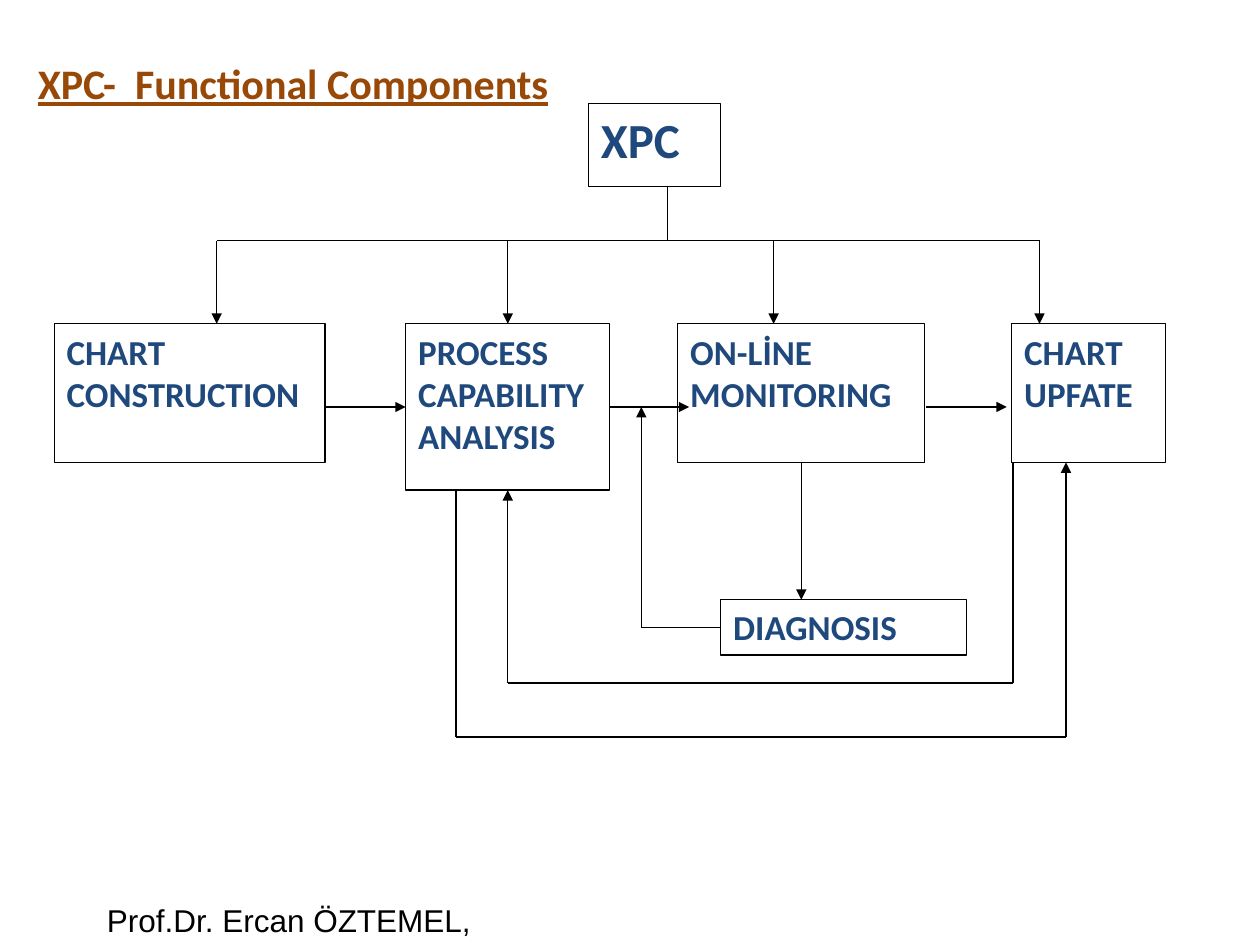
from dataclasses import dataclass
from itertools import pairwise

from lxml.etree import SubElement
from pptx import Presentation
from pptx.dml.color import RGBColor
from pptx.enum.shapes import MSO_CONNECTOR, MSO_SHAPE
from pptx.enum.text import MSO_ANCHOR, PP_ALIGN
from pptx.oxml.ns import qn
from pptx.util import Inches, Pt


@dataclass(frozen=True)
class Theme:
    ink: RGBColor = RGBColor(0x00, 0x00, 0x00)
    paper: RGBColor = RGBColor(0xFF, 0xFF, 0xFF)
    label: RGBColor = RGBColor(0x1F, 0x49, 0x7D)
    heading: RGBColor = RGBColor(0x98, 0x48, 0x07)
    body_font: str = "Calibri"
    footer_font: str = "Arial"
    title_size: int = 24
    root_size: int = 28
    label_size: int = 20
    footer_size: int = 18
    line_width: float = 0.75


@dataclass(frozen=True)
class Box:
    left: float
    top: float
    width: float
    height: float

    def inside(self, left, top, width, height):
        return Box(self.left + left, self.top + top, width, height)

    def place(self):
        return [Inches(v) for v in (self.left, self.top, self.width, self.height)]


THEME = Theme()
TOP, LEFT, BOTTOM, RIGHT = range(4)


def write_text(frame, text, size, color, font=THEME.body_font,
               bold=False, underline=False, wrap=True):
    frame.word_wrap = wrap
    frame.vertical_anchor = MSO_ANCHOR.TOP
    for index, line in enumerate(text.split("\n")):
        para = frame.paragraphs[0] if index == 0 else frame.add_paragraph()
        para.alignment = PP_ALIGN.LEFT
        span = para.add_run()
        span.text = line
        span.font.size = Pt(size)
        span.font.name = font
        span.font.bold = bold
        span.font.underline = underline
        span.font.color.rgb = color


def add_title(page, box):
    title = page.shapes.title
    title.left, title.top, title.width, title.height = box.place()
    write_text(title.text_frame, "XPC-  Functional Components", size=THEME.title_size,
               color=THEME.heading, bold=True, underline=True)


def add_footer(page, box):
    footer = page.shapes.add_textbox(*box.place())
    write_text(footer.text_frame, "Prof.Dr. Ercan ÖZTEMEL,", size=THEME.footer_size,
               color=THEME.ink, font=THEME.footer_font, wrap=False)


def add_block(page, box, text, size=THEME.label_size):
    block = page.shapes.add_shape(MSO_SHAPE.RECTANGLE, *box.place())
    block.shadow.inherit = False
    block.fill.solid()
    block.fill.fore_color.rgb = THEME.paper
    block.line.color.rgb = THEME.ink
    block.line.width = Pt(THEME.line_width)
    write_text(block.text_frame, text, size=size, color=THEME.label, bold=True)
    return block


def add_route(page, box, points, arrow=True, start=None, finish=None):
    segments = []
    for (x1, y1), (x2, y2) in pairwise(points):
        segment = page.shapes.add_connector(
            MSO_CONNECTOR.STRAIGHT,
            Inches(box.left + x1), Inches(box.top + y1),
            Inches(box.left + x2), Inches(box.top + y2))
        segment.line.color.rgb = THEME.ink
        segment.line.width = Pt(THEME.line_width)
        SubElement(segment._element.spPr, qn("a:effectLst"))
        segments.append(segment)
    if arrow:
        SubElement(segments[-1].line._get_or_add_ln(), qn("a:tailEnd"), type="triangle")
    if start:
        segments[0].begin_connect(*start)
    if finish:
        segments[-1].end_connect(*finish)


def add_diagram(page, box):
    row_top, row_bottom, process_bottom = 1.75, 2.85, 3.07
    bus_y, flow_y = 1.09, 2.41
    process_x, monitoring_x = 3.6, 5.93

    add_block(page, box.inside(4.24, 0, 1.05, 0.66), "XPC", size=THEME.root_size)
    add_block(page, box.inside(0, row_top, 2.15, 1.1), "CHART\nCONSTRUCTION")
    process = add_block(page, box.inside(2.79, row_top, 1.62, 1.32),
                        "PROCESS CAPABILITY ANALYSIS")
    monitoring = add_block(page, box.inside(4.95, row_top, 1.96, 1.1), "ON-LİNE MONITORING")
    add_block(page, box.inside(7.6, row_top, 1.22, 1.1), "CHART UPFATE")
    diagnosis = add_block(page, box.inside(5.29, 3.94, 1.95, 0.44), "DIAGNOSIS")

    add_route(page, box, [(4.87, 0.66), (4.87, bus_y)], arrow=False)
    add_route(page, box, [(7.82, bus_y), (1.29, bus_y)], arrow=False)
    for x, finish in ((1.29, None), (process_x, (process, TOP)), (5.71, None), (7.82, None)):
        add_route(page, box, [(x, bus_y), (x, row_top)], finish=finish)

    add_route(page, box, [(2.15, flow_y), (2.79, flow_y)], finish=(process, LEFT))
    add_route(page, box, [(4.41, flow_y), (5.04, flow_y)], start=(process, RIGHT))
    add_route(page, box, [(6.92, flow_y), (7.56, flow_y)])

    add_route(page, box, [(monitoring_x, row_bottom), (monitoring_x, 3.94)],
              start=(monitoring, BOTTOM))
    add_route(page, box, [(5.29, 4.16), (4.66, 4.16), (4.66, flow_y)],
              start=(diagnosis, LEFT))
    add_route(page, box, [(7.61, row_bottom), (7.61, 4.6), (process_x, 4.6),
                          (process_x, process_bottom)], finish=(process, BOTTOM))
    add_route(page, box, [(3.19, process_bottom), (3.19, 5.03), (8.03, 5.03),
                          (8.03, row_bottom)])


def main():
    deck = Presentation()
    deck.slide_width, deck.slide_height = Inches(10), Inches(7.5)
    page = deck.slides.add_slide(deck.slide_layouts[5])
    add_footer(page, Box(0.75, 7.1, 3.19, 0.4))
    add_diagram(page, Box(0.43, 0.82, 8.82, 5.03))
    add_title(page, Box(0.2, 0.41, 5.43, 0.51))
    deck.save("out.pptx")


if __name__ == "__main__":
    main()
